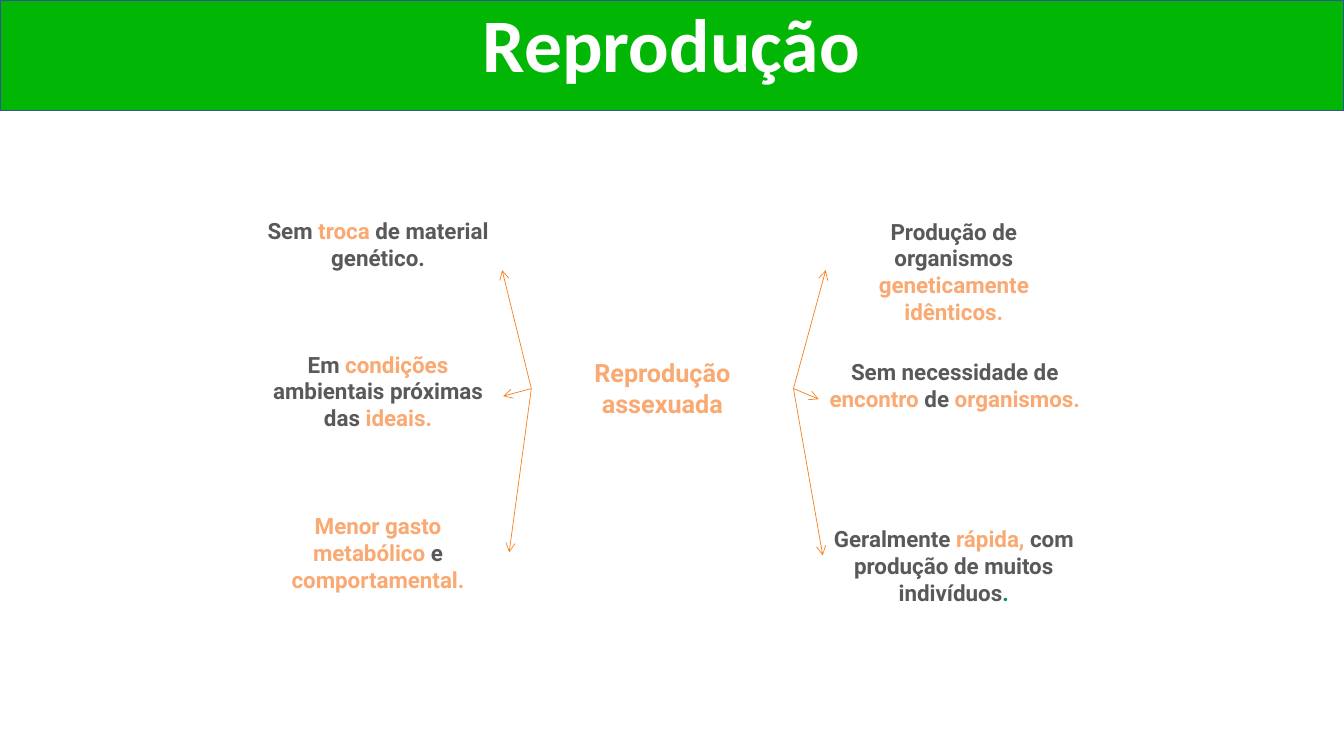
import pptx
import pptx.util
import pptx.dml.color
import pptx.enum.shapes
import pptx.enum.text
import pptx.oxml
import pptx.oxml.ns
from pptx.util import Inches

GREEN = pptx.dml.color.RGBColor(0x02, 0xB6, 0x06)
NAVY = pptx.dml.color.RGBColor(0x32, 0x54, 0x91)
WHITE = pptx.dml.color.RGBColor(0xFF, 0xFF, 0xFF)
GREY = pptx.dml.color.RGBColor(0x59, 0x59, 0x59)
PEACH = pptx.dml.color.RGBColor(0xF9, 0xA9, 0x71)
ORANGE = pptx.dml.color.RGBColor(0xF5, 0x82, 0x20)
TEAL = pptx.dml.color.RGBColor(0x00, 0x94, 0x56)

deck = pptx.Presentation()
deck.slide_width = Inches(13.33)
deck.slide_height = Inches(7.5)
page = deck.slides.add_slide(deck.slide_layouts[6])


def add_text(left, top, width, height, spans, size, font="Roboto"):
    box = page.shapes.add_textbox(Inches(left), Inches(top), Inches(width), Inches(height))
    box.text_frame.word_wrap = True
    para = box.text_frame.paragraphs[0]
    para.alignment = pptx.enum.text.PP_ALIGN.CENTER
    for words, color in spans:
        span = para.add_run()
        span.text = words
        span.font.name = font
        span.font.size = pptx.util.Pt(size)
        span.font.bold = True
        span.font.color.rgb = color
    return box


# Title band
band = page.shapes.add_shape(pptx.enum.shapes.MSO_SHAPE.RECTANGLE,
                             0, 0, deck.slide_width, Inches(1.1))
band.shadow.inherit = False
band.fill.solid()
band.fill.fore_color.rgb = GREEN
band.line.color.rgb = NAVY
band.line.width = pptx.util.Pt(1)
title = add_text(2.35, 0.02, 8.62, 1.45, [("Reprodução", WHITE)], 54, "Calibri")
title.text_frame.paragraphs[0].line_spacing = 0.9

# Central topic
topic = add_text(5.27, 3.5, 2.6, 0.71, [("Reprodução assexuada", PEACH)], 18)

# Features: box position and size, arrow tip, side of the topic, wording
LEFT, RIGHT = 1, 3
features = [
    (2.45, 2.11, 2.6, 0.64, (4.98, 2.68), LEFT,
     [("Sem ", GREY), ("troca", PEACH), (" de material genético.", GREY)]),
    (2.45, 3.43, 2.6, 0.91, (4.99, 3.93), LEFT,
     [("Em ", GREY), ("condições ", PEACH), ("ambientais próximas das ", GREY),
      ("ideais.", PEACH)]),
    (2.45, 5.03, 2.6, 0.91, (5.05, 5.48), LEFT,
     [("Menor gasto metabólico ", PEACH), ("e ", GREY), ("comportamental.", PEACH)]),
    (8.12, 2.11, 2.68, 1.18, (8.19, 2.68), RIGHT,
     [("Produção de organismos ", GREY), ("geneticamente idênticos.", PEACH)]),
    (8.12, 3.5, 2.7, 0.91, (8.12, 3.96), RIGHT,
     [("Sem necessidade de ", GREY), ("encontro", PEACH), (" de ", GREY),
      ("organismos.", PEACH)]),
    (8.12, 5.16, 2.68, 0.91, (8.16, 5.51), RIGHT,
     [("Geralmente ", GREY), ("rápida, ", PEACH),
      ("com produção de muitos indivíduos", GREY), (".", TEAL)]),
]
for left, top, width, height, (tip_x, tip_y), side, spans in features:
    add_text(left, top, width, height, spans, 16)

    # Arrow from the topic to the feature
    start_x = topic.left if side == LEFT else topic.left + topic.width
    arrow = page.shapes.add_connector(pptx.enum.shapes.MSO_CONNECTOR.STRAIGHT,
                                      start_x, topic.top + topic.height // 2,
                                      Inches(tip_x), Inches(tip_y))
    arrow.begin_connect(topic, side)
    arrow.line.color.rgb = ORANGE
    arrow.line.width = pptx.util.Pt(0.5)
    head = pptx.oxml.parse_xml(
        f'<a:tailEnd {pptx.oxml.ns.nsdecls("a")} type="arrow"/>')
    arrow.line._get_or_add_ln().append(head)
    shadow = pptx.oxml.parse_xml(f'<a:effectLst {pptx.oxml.ns.nsdecls("a")}/>')
    arrow._element.spPr.append(shadow)

deck.save("out.pptx")
